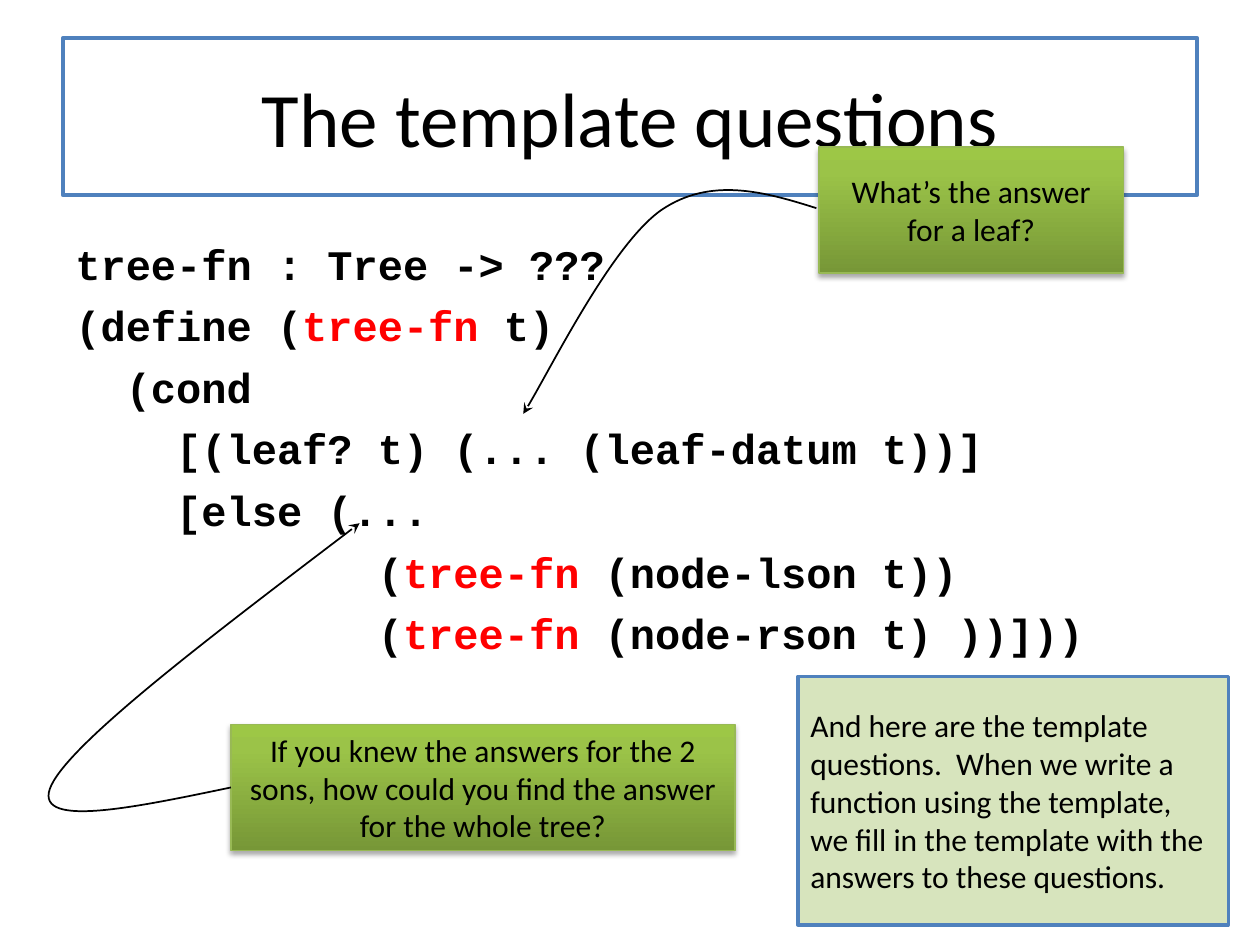
from copy import deepcopy

from lxml import etree
from pptx import Presentation
from pptx.dml.color import RGBColor
from pptx.enum.shapes import MSO_SHAPE
from pptx.enum.text import MSO_ANCHOR, PP_ALIGN
from pptx.oxml.ns import qn
from pptx.util import Pt

RECTANGLE = MSO_SHAPE.RECTANGLE
MIDDLE = MSO_ANCHOR.MIDDLE
TOP = MSO_ANCHOR.TOP
CENTER = PP_ALIGN.CENTER
LEFT = PP_ALIGN.LEFT

COLORS = {
    "black": "000000",
    "white": "FFFFFF",
    "blue": "4F81BD",
    "red": "FF0000",
    "pale_green": "D7E4BD",
    "green_line": "98B955",
}
GREEN_STOPS = [(0, "779737"), (0.8, "9BC348"), (1, "9DC746")]

HIGHLIGHT = "tree-fn"
CODE_LINES = [
    ["tree-fn : Tree -> ???"],
    ["(define (", HIGHLIGHT, " t)"],
    ["  (cond"],
    ["    [(leaf? t) (... (leaf-datum t))]"],
    ["    [else (..."],
    ["            (", HIGHLIGHT, " (node-lson t))"],
    ["            (", HIGHLIGHT, " (node-rson t) ))]))"],
]


def rgb(name):
    return RGBColor.from_string(COLORS[name])


def place(shape, left, top, width, height):
    shape.left, shape.top = Pt(left), Pt(top)
    shape.width, shape.height = Pt(width), Pt(height)


def set_line(shape, color, width):
    shape.line.color.rgb = rgb(color)
    shape.line.width = Pt(width)


def set_fill(shape, color):
    shape.fill.solid()
    shape.fill.fore_color.rgb = rgb(color)


def format_font(font, name, size, color="black", bold=False):
    font.name = name
    font.size = Pt(size)
    font.bold = bold
    font.color.rgb = rgb(color)


def set_text(shape, text, size, alignment):
    frame = shape.text_frame
    frame.text = text
    frame.word_wrap = True
    frame.vertical_anchor = MIDDLE
    paragraph = frame.paragraphs[0]
    paragraph.alignment = alignment
    format_font(paragraph.runs[0].font, "Calibri", size)


def add_title(slide, text):
    title = slide.shapes.title
    place(title, 36, 21.6, 648, 90)
    set_fill(title, "white")
    set_line(title, "blue", 2.25)
    set_text(title, text, 44, CENTER)


def add_code(slide):
    box = slide.shapes.add_textbox(Pt(36), Pt(126), Pt(648), Pt(356.4))
    frame = box.text_frame
    frame.word_wrap = True
    frame.vertical_anchor = TOP
    frame.margin_top = Pt(10)
    for index, pieces in enumerate(CODE_LINES):
        paragraph = frame.add_paragraph() if index else frame.paragraphs[0]
        if index:
            paragraph.space_before = Pt(6.4)
        for piece in pieces:
            run = paragraph.add_run()
            run.text = piece
            color = "red" if piece == HIGHLIGHT else "black"
            format_font(run.font, "Courier New", 24, color, True)


def add_box(slide, bounds, text, alignment):
    box = slide.shapes.add_shape(RECTANGLE, *map(Pt, bounds))
    box.shadow.inherit = False
    set_text(box, text, 18, alignment)
    return box


def fill_green_gradient(shape):
    fill = shape.fill
    fill.gradient()
    fill.gradient_angle = 90
    stop_list = shape._element.spPr.find(".//" + qn("a:gsLst"))
    stop_list.append(deepcopy(stop_list[0]))
    for stop, (position, color) in zip(fill.gradient_stops, GREEN_STOPS):
        stop.position = position
        stop.color.rgb = RGBColor.from_string(color)


def add_drop_shadow(shape):
    effects = shape._element.spPr.find(qn("a:effectLst"))
    shadow = etree.SubElement(
        effects, qn("a:outerShdw"), blurRad=str(Pt(3.1)),
        dist=str(Pt(1.8)), dir="5400000", rotWithShape="0")
    color = etree.SubElement(shadow, qn("a:srgbClr"), val=COLORS["black"])
    etree.SubElement(color, qn("a:alpha"), val="35000")


def add_callout(slide, bounds, text):
    callout = add_box(slide, bounds, text, CENTER)
    fill_green_gradient(callout)
    set_line(callout, "green_line", 0.75)
    add_drop_shadow(callout)


def add_curved_arrow(slide, points):
    start, *rest = [(Pt(x), Pt(y)) for x, y in points]
    builder = slide.shapes.build_freeform(*start)
    builder.add_line_segments(rest, close=False)
    arrow = builder.convert_to_shape()
    arrow.shadow.inherit = False
    arrow.fill.background()
    set_line(arrow, "black", 1)
    etree.SubElement(arrow.line._get_or_add_ln(), qn("a:tailEnd"), type="stealth")

    outline = arrow._element.spPr.find(".//" + qn("a:path"))
    segments = outline.findall(qn("a:lnTo"))
    for first in range(0, len(segments), 3):
        curve = etree.SubElement(outline, qn("a:cubicBezTo"))
        for segment in segments[first:first + 3]:
            curve.append(segment[0])
            outline.remove(segment)


def add_note(slide, bounds, text):
    note = add_box(slide, bounds, text, LEFT)
    set_fill(note, "pale_green")
    set_line(note, "blue", 2)


def main():
    presentation = Presentation()
    presentation.slide_width, presentation.slide_height = Pt(720), Pt(540)
    slide = presentation.slides.add_slide(presentation.slide_layouts[5])

    add_title(slide, "The template questions")
    add_code(slide)
    add_callout(slide, (468, 84, 174, 72), "What’s the answer for a leaf?")
    add_curved_arrow(slide, [
        (466.5, 119), (436.5, 109.5), (406, 101), (378, 120),
        (350, 139.5), (311, 218), (299, 236.5)])
    add_callout(slide, (132, 414, 288, 72),
                "If you knew the answers for the 2 sons, how could you "
                "find the answer for the whole tree?")
    add_curved_arrow(slide, [
        (132, 450), (74.5, 462), (17, 474), (29.5, 448.5),
        (42, 423), (124, 361), (205.5, 299)])
    add_note(slide, (456, 386.5, 246, 142),
             "And here are the template questions.  When we write a function "
             "using the template, we fill in the template with the answers "
             "to these questions.")
    presentation.save("out.pptx")


if __name__ == "__main__":
    main()
